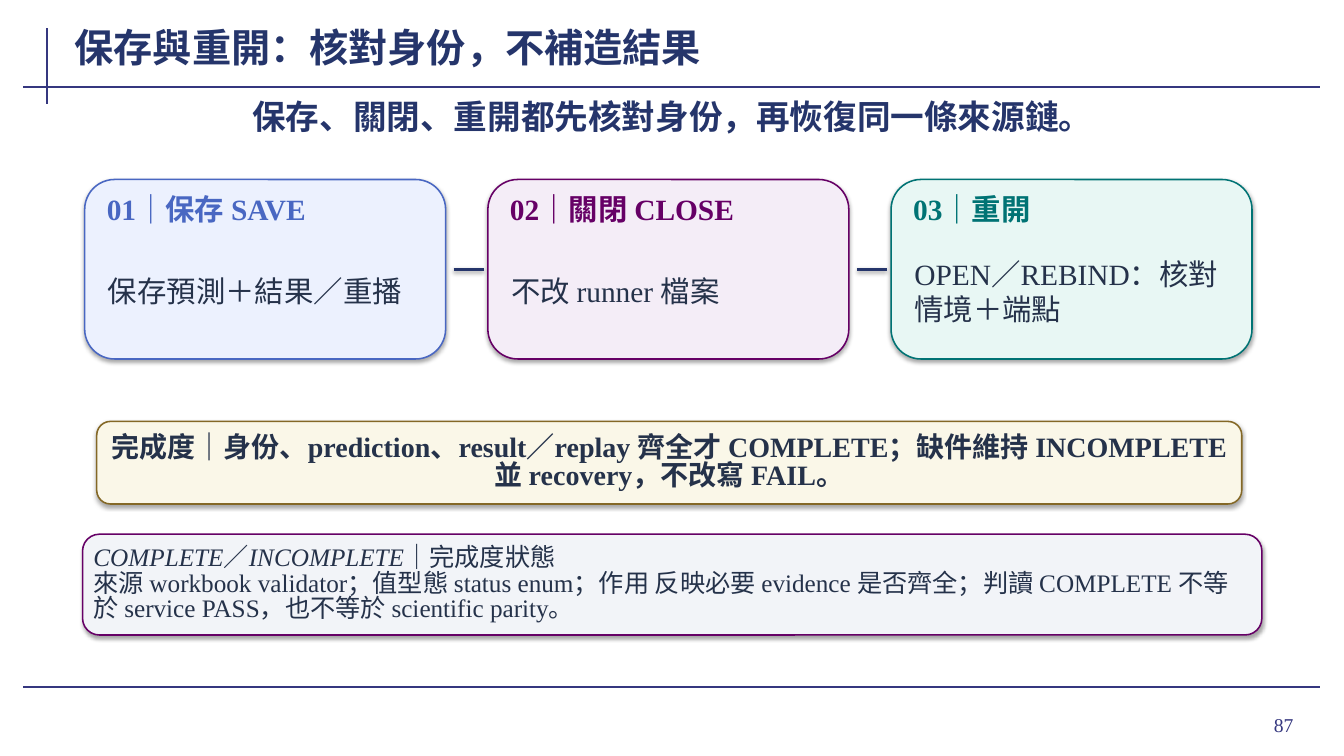
from dataclasses import dataclass
from lxml.etree import SubElement
from pptx import Presentation
from pptx.dml.color import RGBColor
from pptx.enum.shapes import MSO_CONNECTOR, MSO_SHAPE
from pptx.enum.text import MSO_ANCHOR, PP_ALIGN
from pptx.oxml.ns import qn
from pptx.util import Pt


@dataclass(frozen=True)
class Theme:
    """Hold the font, colours and type sizes."""
    font: str = "Times New Roman"
    rule: str = "35377F"
    navy: str = "25356B"
    ink: str = "25324A"
    blue: str = "4967C2"
    plum: str = "660066"
    teal: str = "007374"
    gold: str = "846826"
    sky: str = "ECF1FE"
    lilac: str = "F4EDF7"
    mint: str = "E8F7F4"
    cream: str = "FAF7E8"
    mist: str = "F2F4F8"
    title: int = 28
    lead: int = 24
    card: int = 21
    band: int = 20
    note: int = 18
    page: int = 14


THEME = Theme()


def paint(color):
    """Turn a hex string into a colour."""
    return RGBColor.from_string(color)


def shade(shape, blur=3.1, drop=1.8, alpha=35):
    """Give a shape a soft shadow straight below it."""
    shape.shadow.inherit = False
    effects = shape._element.spPr.find(qn("a:effectLst"))
    outer = SubElement(effects, qn("a:outerShdw"), blurRad=str(Pt(blur)),
                       dist=str(Pt(drop)), dir="5400000", algn="ctr",
                       rotWithShape="0")
    black = SubElement(outer, qn("a:srgbClr"), val="000000")
    SubElement(black, qn("a:alpha"), val=str(alpha * 1000))


def stroke(slide, start, end, color, width):
    """Draw a straight line without a shadow."""
    line = slide.shapes.add_connector(
        MSO_CONNECTOR.STRAIGHT, *map(Pt, (*start, *end)))
    line.line.color.rgb = paint(color)
    line.line.width = Pt(width)
    SubElement(line._element.spPr, qn("a:effectLst"))
    return line


def link(slide, left, top):
    """Draw the short dash between two cards."""
    line = stroke(slide, (left, top), (left + 21.6, top), THEME.navy, 2)
    outer = line._element.spPr.find(qn("a:effectLst"))
    drop = SubElement(outer, qn("a:outerShdw"), blurRad=str(Pt(3.1)),
                      dist=str(Pt(1.6)), dir="5400000", rotWithShape="0")
    black = SubElement(drop, qn("a:srgbClr"), val="000000")
    SubElement(black, qn("a:alpha"), val="38000")


def panel(slide, box, fill, edge):
    """Add a rounded panel with a thin edge."""
    shape = slide.shapes.add_shape(MSO_SHAPE.ROUNDED_RECTANGLE, *map(Pt, box))
    shape.fill.solid()
    shape.fill.fore_color.rgb = paint(fill)
    shape.line.color.rgb = paint(edge)
    shape.line.width = Pt(1.1)
    shade(shape)
    return shape


def fit(shape, side, top):
    """Set wrapping and insets, and return the first paragraph."""
    frame = shape.text_frame
    frame.word_wrap = True
    frame.vertical_anchor = MSO_ANCHOR.MIDDLE
    frame.margin_left = frame.margin_right = Pt(side)
    frame.margin_top = frame.margin_bottom = Pt(top)
    return frame.paragraphs[0]


def write(para, text, size, color=THEME.ink, bold=False, italic=False,
          align=PP_ALIGN.LEFT, space=1.0):
    """Add a run of text to a paragraph."""
    para.alignment = align
    para.line_spacing = space
    run = para.add_run()
    run.text = text
    font = run.font
    font.name, font.size = THEME.font, Pt(size)
    font.color.rgb = paint(color)
    font.bold, font.italic = bold, italic


def label(slide, box, text, size, side=1.4, top=0, **style):
    """Add a text box with one line of thought."""
    shape = slide.shapes.add_textbox(*map(Pt, box))
    write(fit(shape, side, top), text, size, **style)


def card(slide, left, head, body, fill, edge):
    """Add a step card with its heading and body."""
    panel(slide, (left, 128.2, 257.8, 128.2), fill, edge)
    label(slide, (left + 10, 134, 237.6, 30.2), head, THEME.card,
          side=5.8, top=2.9, color=edge, bold=True)
    label(slide, (left + 10.8, 167, 236.2, 82), body, THEME.card,
          side=5.8, top=2.9)


def frame(slide):
    """Draw the rules, title and page number."""
    for start, end in (((33.8, 20.2), (33.8, 74.2)),
                       ((16.6, 61.9), (943.2, 61.9)),
                       ((16.6, 491), (943.2, 491))):
        stroke(slide, start, end, THEME.rule, 1.5)
    label(slide, (861, 499, 70, 37.4), "87", THEME.page, side=7.2, top=3.6,
          color=THEME.rule, align=PP_ALIGN.RIGHT)
    label(slide, (52, 14.4, 745, 38.2), "保存與重開：核對身份，不補造結果",
          THEME.title, color=THEME.navy, bold=True)
    label(slide, (59, 67, 842.4, 32.4),
          "保存、關閉、重開都先核對身份，再恢復同一條來源鏈。",
          THEME.lead, color=THEME.navy, bold=True, align=PP_ALIGN.CENTER)


def steps(slide):
    """Lay out the three step cards and their dashes."""
    cards = (
        ("01｜保存 SAVE", "保存預測＋結果／重播", THEME.sky, THEME.blue),
        ("02｜關閉 CLOSE", "不改 runner 檔案", THEME.lilac, THEME.plum),
        ("03｜重開", "OPEN／REBIND：核對情境＋端點", THEME.mint, THEME.teal),
    )
    for index, item in enumerate(cards):
        left = 60.5 + 288 * index
        card(slide, left, *item)
        if index:
            link(slide, left - 24.5, 192.3)


def notes(slide):
    """Add the completion band and the status panel."""
    band = panel(slide, (69.1, 301, 817.9, 59), THEME.cream, THEME.gold)
    write(fit(band, 5.8, 1.4),
          "完成度｜身份、prediction、result／replay 齊全才 COMPLETE；"
          "缺件維持 INCOMPLETE 並 recovery，不改寫 FAIL。",
          THEME.band, bold=True, align=PP_ALIGN.CENTER, space=0.84)
    status = panel(slide, (59, 381.6, 842.4, 72), THEME.mist, THEME.plum)
    para = fit(status, 4.3, 1.4)
    for text, slant in (("COMPLETE", True), ("／", False),
                        ("INCOMPLETE", True), ("｜完成度狀態", False)):
        write(para, text, THEME.note, italic=slant, space=0.84)
    write(status.text_frame.add_paragraph(),
          "來源 workbook validator；值型態 status enum；"
          "作用 反映必要 evidence 是否齊全；判讀 COMPLETE "
          "不等於 service PASS，也不等於 scientific parity。",
          THEME.note, space=0.84)


def main():
    """Build and save the slide."""
    deck = Presentation()
    deck.slide_width, deck.slide_height = Pt(960), Pt(540)
    slide = deck.slides.add_slide(deck.slide_layouts[6])
    frame(slide)
    steps(slide)
    notes(slide)
    deck.save("out.pptx")


if __name__ == "__main__":
    main()
